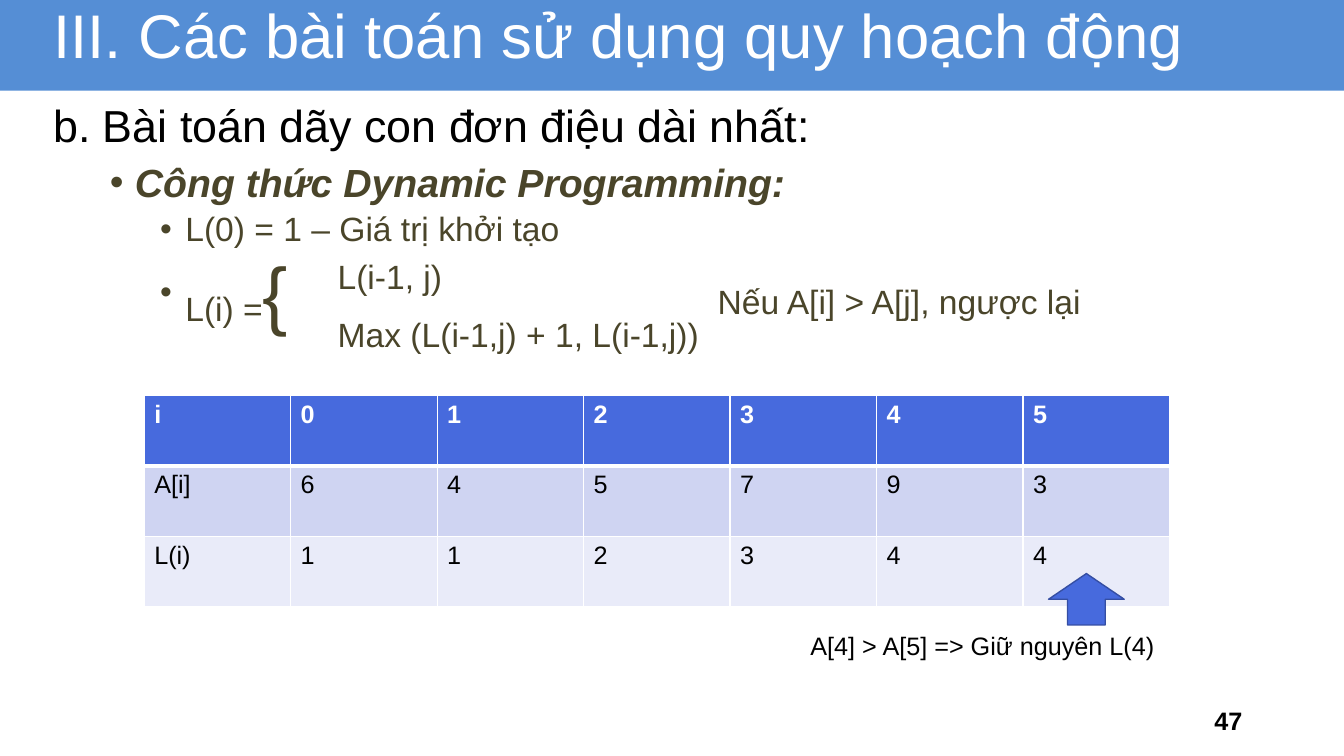
from lxml import etree
from pptx import Presentation
from pptx import util as u
from pptx.dml.color import RGBColor
from pptx.enum import shapes, text
from pptx.oxml.ns import qn

PX = 9144
HUES = {
    "band": "558ED5", "white": "FFFFFF", "black": "000000", "olive": "4A452A",
    "blue": "476ADD", "edge": "354EA3", "mid": "CFD4F2", "pale": "E9EBF9",
}
ROWS = [
    ["i", "0", "1", "2", "3", "4", "5"],
    ["A[i]", "6", "4", "5", "7", "9", "3"],
    ["L(i)", "1", "1", "2", "3", "4", "4"],
]
RULES = [
    (["Công thức Dynamic Programming:"], [28], True),
    (["L(0) = 1 – Giá trị khởi tạo"], [24], False),
    (["L(i) =", "{"], [24, 54], False),
]


def px(*vals):
    """Turn px lengths into EMU."""
    return [u.Emu(v * PX) for v in vals]


def hue(name):
    """Give the named colour."""
    return RGBColor.from_string(HUES[name])


def style(run, size, tone, bold=False, slant=False):
    """Format one run."""
    font = run.font
    font.name, font.size = "Arial", u.Pt(size)
    font.bold, font.italic = bold, slant
    font.color.rgb = hue(tone)


def label(slide, box, words, size, tone, bold=False, mid=False, right=False,
          wrap=True, lead=None):
    """Add a text box of one line."""
    frame = slide.shapes.add_textbox(*px(*box)).text_frame
    frame.word_wrap = wrap
    frame.text = words
    if mid:
        frame.vertical_anchor = text.MSO_ANCHOR.MIDDLE
    para = frame.paragraphs[0]
    para.alignment = text.PP_ALIGN.RIGHT if right else text.PP_ALIGN.LEFT
    if lead:
        para.line_spacing = lead
    style(para.runs[0], size, tone, bold)


def block(slide, kind, box, tone, edge=None):
    """Add a filled preset shape."""
    form = slide.shapes.add_shape(kind, *px(*box))
    form.shadow.inherit = False
    form.fill.solid()
    form.fill.fore_color.rgb = hue(tone)
    if edge:
        form.line.color.rgb = hue(edge)
        form.line.width = u.Pt(1)
    else:
        form.line.fill.background()


def bullet(para, left):
    """Give a paragraph a hanging round bullet."""
    props = para._p.get_or_add_pPr()
    props.set("marL", str(px(left)[0]))
    props.set("indent", str(px(-25)[0]))
    etree.SubElement(props, qn("a:buFont")).set("typeface", "Arial")
    etree.SubElement(props, qn("a:buChar")).set("char", "•")


def rules(slide, box):
    """Add the bulleted formulas."""
    frame = slide.shapes.add_textbox(*px(*box)).text_frame
    frame.word_wrap = True
    for n, (parts, sizes, head) in enumerate(RULES):
        para = frame.add_paragraph() if n else frame.paragraphs[0]
        para.level = 0 if head else 1
        para.line_spacing = 0.9
        para.space_before = u.Pt(10 if head else 5)
        bullet(para, 25 if head else 75)
        for part, size in zip(parts, sizes):
            run = para.add_run()
            run.text = part
            style(run, size, "olive", head, head)


def border(cell, side, width):
    """Draw one white cell edge."""
    line = etree.SubElement(cell._tc.get_or_add_tcPr(), qn("a:ln" + side))
    line.set("w", str(u.Pt(width)))
    fill = etree.SubElement(line, qn("a:solidFill"))
    etree.SubElement(fill, qn("a:srgbClr")).set("val", HUES["white"])


def grid(slide, box):
    """Add the table of values."""
    table = slide.shapes.add_table(len(ROWS), len(ROWS[0]), *px(*box)).table
    for r, row in enumerate(ROWS):
        for c, word in enumerate(row):
            cell = table.cell(r, c)
            for side in "LRTB":
                border(cell, side, 3 if (r, side) in ((0, "B"), (1, "T")) else 1)
            cell.fill.solid()
            cell.fill.fore_color.rgb = hue(("blue", "mid", "pale")[r])
            cell.text_frame.text = word
            run = cell.text_frame.paragraphs[0].runs[0]
            style(run, 18, "black" if r else "white", r == 0)


def main():
    """Build the slide and save it."""
    deck = Presentation()
    deck.slide_width, deck.slide_height = px(1333, 750)
    slide = deck.slides.add_slide(deck.slide_layouts[6])
    kind = shapes.MSO_SHAPE
    block(slide, kind.RECTANGLE, (0, -10, 1333, 100), "band")
    label(slide, (43, -11, 1291, 99), "III. Các bài toán sử dụng quy hoạch động",
          44, "white", mid=True, lead=0.9)
    label(slide, (43, 88, 1234, 64), "b. Bài toán dãy con đơn điệu dài nhất:",
          32, "black", lead=1.07)
    label(slide, (942, 695, 300, 40), "47", 18, "black", bold=True, mid=True,
          right=True)
    rules(slide, (99, 157, 1135, 593))
    grid(slide, (143, 392, 1017, 210))
    for box, words in (
        ((325, 249, 412, 50), "L(i-1, j)"),
        ((325, 307, 412, 50), "Max (L(i-1,j) + 1, L(i-1,j))"),
        ((702, 274, 400, 50), "Nếu A[i] > A[j], ngược lại"),
    ):
        label(slide, box, words, 24, "olive")
    block(slide, kind.UP_ARROW, (1040, 569, 75, 51), "blue", "edge")
    label(slide, (794, 620, 366, 40), "A[4] > A[5] => Giữ nguyên L(4)",
          18, "black", wrap=False)
    deck.save("out.pptx")


if __name__ == "__main__":
    main()
